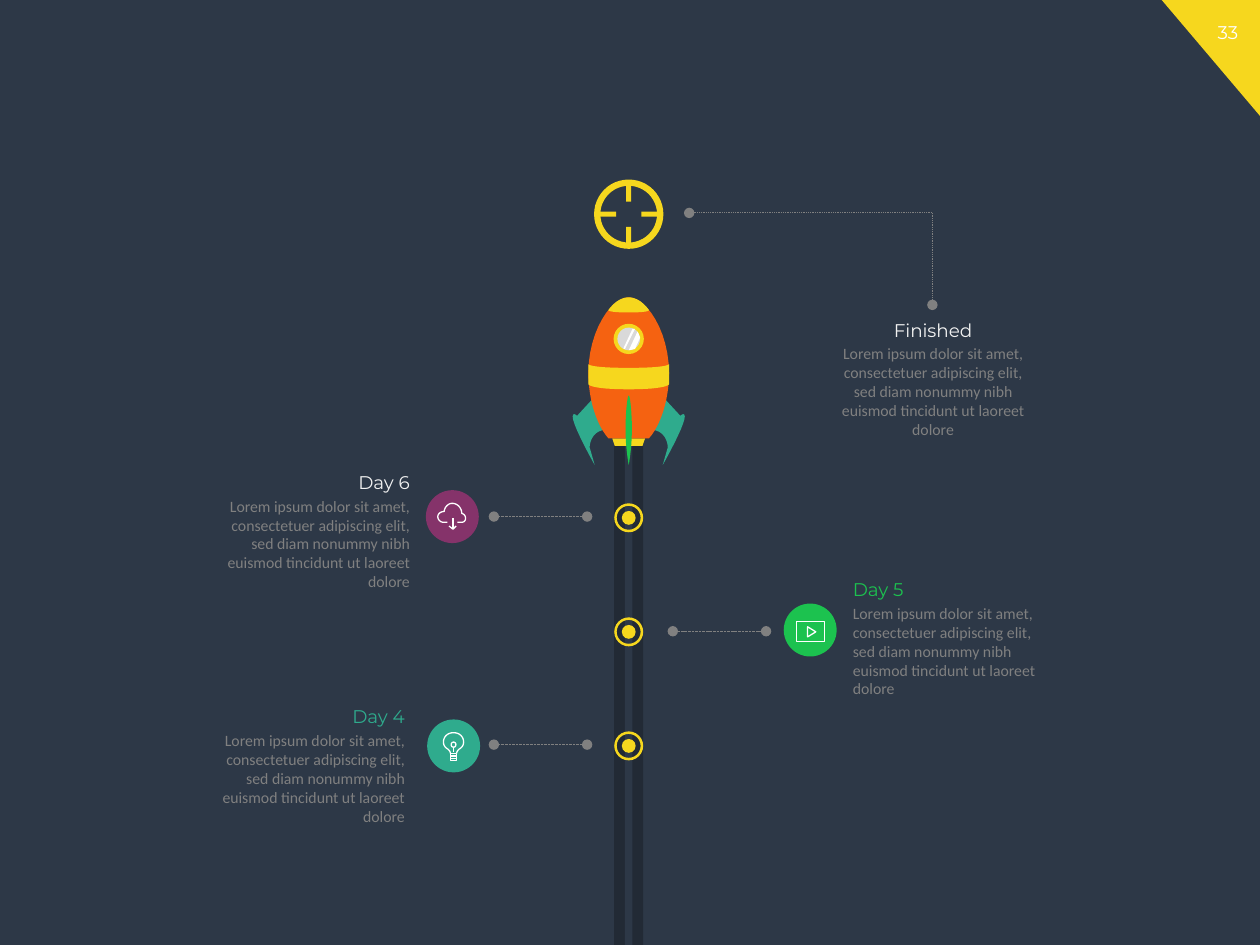
from lxml.etree import SubElement
from pptx import Presentation
from pptx.dml.color import RGBColor
from pptx.enum.dml import MSO_LINE
from pptx.enum.shapes import MSO_CONNECTOR, MSO_SHAPE
from pptx.enum.text import PP_ALIGN
from pptx.oxml.ns import qn
from pptx.util import Inches, Pt

COLORS = {
    "night": "2D3847", "rail": "222A35", "yellow": "F6D71E", "orange": "F56211",
    "teal": "2FAB8D", "green": "1CC24F", "purple": "85336A", "gray": "808080",
    "glass": "D9D9D9", "pale": "F2F2F2", "white": "FFFFFF",
}
HEADING = {"name": "Montserrat", "size": Pt(10.5)}
BODY = {"name": "Calibri", "size": Pt(9)}
LOREM = ("Lorem ipsum dolor sit amet, consectetuer adipiscing elit, "
         "sed diam nonummy nibh euismod tincidunt ut laoreet dolore")
AXIS = 4.99  # horizontal centre of the rocket and its rail

# Contours in hundredths of an inch from a local origin;
# a pair is a straight step, six numbers are a Bezier step.
FIN = [(-29, 81), (-41, 94), (-41, 94, -43, 92, -44, 93),
       (-48, 96, -27, 133, -27, 133), (-31, 119), (-31, 119, -31, 106, -18, 105)]
ROCKET = [
    ("teal", FIN),
    ("teal", [tuple(-v if i % 2 == 0 else v for i, v in enumerate(step)) for step in FIN]),
    ("yellow", [(-13, 112), (13, 112), (11, 118), (-11, 118)]),
    ("orange", [(16, 112), (25, 102, 32, 82, 32, 60), (32, 27, 14, 0, 0, 0),
                (-14, 0, -32, 27, -32, 60), (-32, 82, -25, 102, -16, 112)]),
    ("yellow", [(16, 10), (11, 3, 5, 0, 0, 0), (-5, 0, -11, 3, -16, 10),
                (-16, 10, -18, 12, 0, 12), (18, 12, 16, 10, 16, 10)]),
    ("yellow", [(-32, 53), (-32, 69), (-32, 69, -31, 73, 0, 73), (31, 73, 32, 69, 32, 69),
                (32, 53), (32, 53, 32, 56, 0, 56), (-32, 56, -32, 53, -32, 53)]),
    ("green", [(2.5, 105), (2.5, 120, 0, 133, 0, 133), (0, 133, -2.5, 120, -2.5, 105),
               (-2.5, 90, -1, 78, 0, 78), (1, 78, 2.5, 90, 2.5, 105)]),
]
GLINTS = [[(5, 25), (3, 25), (-4, 40), (-4, 41), (-3, 41)],
          [(7, 27), (0, 42), (5, 41), (9, 32)]]
CLOUD = [
    [(-4, 4.5), (-7, 4.5), (-9.5, 4.5, -11.5, 2.5, -11.5, 0), (-11.5, -2, -9.5, -4, -6.5, -4),
     (-6, -7.5, -3.5, -10.5, 0, -10.5), (4, -10.5, 7.5, -7, 7.5, -2.5),
     (9.5, -2, 10.5, -0.5, 10.5, 1.5), (10.5, 3, 9.5, 4.5, 7.5, 4.5), (4, 4.5)],
    [(0.5, 1), (0.5, 10)],
    [(-2.5, 7.5), (0.5, 10), (3, 7.5)],
]
PLAY = [
    [(-11, -6.5), (11.5, -6.5), (11.5, 9), (-11, 9), (-11, -6.5)],
    [(-2, -2.5), (4.5, 1.5), (-2, 5.5), (-2, -2.5)],
]
BULB = [
    [(-2.5, 6), (-2.5, 4.5, -3.5, 3.5, -4.5, 2.5), (-6.5, 1.5, -8, -0.5, -8, -3),
     (-8, -7.5, -4.5, -10.5, 0, -10.5), (4.5, -10.5, 8, -7.5, 8, -3),
     (8, -0.5, 6.5, 1.5, 4.5, 2.5), (3.5, 3.5, 2.5, 4.5, 2.5, 6)],
    [(-2.5, 6), (-2.5, 11.5), (2.5, 11.5), (2.5, 6), (-2.5, 6)],
    [(-2.5, 8), (2.5, 8)],
    [(-2.5, 10), (2.5, 10)],
    [(0, 1), (0, 5)],
    [(0, -3), (2.5, -3, 2.5, 1, 0, 1), (-2.5, 1, -2.5, -3, 0, -3)],
]


def color(name):
    return RGBColor.from_string(COLORS[name])


def apply_format(target, values):
    for key, value in values.items():
        setattr(target, key, value)


def paint(shape, fill):
    shape.shadow.inherit = False
    shape.fill.solid()
    shape.fill.fore_color.rgb = color(fill)
    shape.line.fill.background()
    return shape


def add_block(page, kind, left, top, width, height, fill):
    shape = page.shapes.add_shape(
        kind, Inches(left), Inches(top), Inches(width), Inches(height))
    return paint(shape, fill)


def add_round(page, center, size, fill, thickness=None):
    """A disc, or a ring when a thickness is given."""
    kind = MSO_SHAPE.DONUT if thickness else MSO_SHAPE.OVAL
    x, y = center
    shape = add_block(page, kind, x - size / 2, y - size / 2, size, size, fill)
    if thickness:
        shape.adjustments[0] = thickness / size
    return shape


def flatten(contour, pieces=12):
    """Turn Bezier steps into short straight ones."""
    points = [contour[0]]
    for step in contour[1:]:
        if len(step) == 2:
            points.append(step)
            continue
        corners = [points[-1], step[:2], step[2:4], step[4:]]
        for i in range(1, pieces + 1):
            t = i / pieces
            weights = ((1 - t) ** 3, 3 * t * (1 - t) ** 2, 3 * t * t * (1 - t), t ** 3)
            points.append(tuple(
                sum(w * corner[axis] for w, corner in zip(weights, corners))
                for axis in (0, 1)))
    return points


def add_outline(page, origin, contours, close):
    def place(point):
        return tuple(Inches(o + v / 100) for o, v in zip(origin, point))

    paths = [[place(point) for point in flatten(contour)] for contour in contours]
    builder = page.shapes.build_freeform(*paths[0][0], scale=1.0)
    for number, points in enumerate(paths):
        if number:
            builder.move_to(*points[0])
        builder.add_line_segments(points[1:], close=close)
    return builder.convert_to_shape()


def add_icon(page, center, strokes):
    icon = add_outline(page, center, strokes, close=False)
    icon.shadow.inherit = False
    icon.fill.background()
    icon.line.color.rgb = color("white")
    icon.line.width = Pt(0.75)


def add_leader(page, start, end, dash, ends):
    leader = page.shapes.add_connector(
        MSO_CONNECTOR.STRAIGHT, *(Inches(v) for v in start + end))
    leader.line.color.rgb = color("gray")
    apply_format(leader.line, {"width": Pt(0.5), "dash_style": dash})
    properties = leader._element.spPr
    for tag in ends:
        SubElement(properties.find(qn("a:ln")), qn(tag)).set("type", "oval")
    SubElement(properties, qn("a:effectLst"))


def add_text(page, text, left, top, width, height, align, font, ink):
    box = page.shapes.add_textbox(
        Inches(left), Inches(top), Inches(width), Inches(height))
    box.text_frame.word_wrap = True
    para = box.text_frame.paragraphs[0]
    para.alignment = align
    span = para.add_run()
    span.text = text
    apply_format(span.font, font)
    span.font.color.rgb = color(ink)


def add_note(page, heading, left, top, align, ink):
    add_text(page, LOREM, left, top + 0.2, 1.81, 0.86, align, BODY, "gray")
    add_text(page, heading, left, top, 1.81, 0.28, align, HEADING, ink)


def add_rocket(page):
    for fill, contour in ROCKET:
        paint(add_outline(page, (AXIS, 2.36), [contour], close=True), fill)
    add_round(page, (AXIS, 2.69), 0.24, "yellow")
    add_round(page, (AXIS, 2.69), 0.18, "glass")
    for glint in GLINTS:
        paint(add_outline(page, (AXIS, 2.36), [glint], close=True), "white")


def add_target(page):
    y = 1.7
    add_round(page, (AXIS, y), 0.55, "yellow", 0.05)
    for sign in (-1, 1):
        middle = sign * 0.17
        add_block(page, MSO_SHAPE.RECTANGLE, AXIS - 0.02, y + middle - 0.07, 0.04, 0.14, "yellow")
        add_block(page, MSO_SHAPE.RECTANGLE, AXIS + middle - 0.07, y - 0.02, 0.14, 0.04, "yellow")


def main():
    deck = Presentation()
    apply_format(deck, {"slide_width": Inches(10), "slide_height": Inches(7.5)})
    page = deck.slides.add_slide(deck.slide_layouts[6])
    page.background.fill.solid()
    page.background.fill.fore_color.rgb = color("night")

    # Page corner
    corner = add_block(page, MSO_SHAPE.RIGHT_TRIANGLE, 9.22, 0, 0.78, 0.92, "yellow")
    corner.rotation = 180
    add_text(page, "33", 9.49, 0.12, 0.51, 0.28, PP_ALIGN.CENTER, HEADING, "white")

    # Rail with its stops, then the rocket and its target
    for width, fill in ((0.23, "rail"), (0.06, "night")):
        add_block(page, MSO_SHAPE.RECTANGLE, AXIS - width / 2, 3.27, width, 4.23, fill)
    for stop in range(3):
        center = (AXIS, 4.11 + 0.905 * stop)
        add_round(page, center, 0.11, "yellow")
        add_round(page, center, 0.23, "yellow", 0.02)
    add_rocket(page)
    add_target(page)

    # Leaders
    both = ("a:headEnd", "a:tailEnd")
    for start, end, y in ((4.66, 3.92, 4.1), (5.34, 6.08, 5.01), (4.66, 3.92, 5.91)):
        add_leader(page, (start, y), (end, y), MSO_LINE.SQUARE_DOT, both)
    add_leader(page, (5.47, 1.69), (7.4, 1.69), MSO_LINE.ROUND_DOT, both[:1])
    add_leader(page, (7.4, 1.69), (7.4, 2.42), MSO_LINE.ROUND_DOT, both[1:])

    # Badges
    for center, fill, strokes in (((3.59, 4.1), "purple", CLOUD),
                                  ((6.43, 5.0), "green", PLAY),
                                  ((3.6, 5.92), "teal", BULB)):
        add_round(page, center, 0.42, fill)
        add_icon(page, center, strokes)

    # Notes
    add_note(page, "Finished", 6.5, 2.48, PP_ALIGN.CENTER, "pale")
    add_note(page, "Day 6", 1.54, 3.69, PP_ALIGN.RIGHT, "pale")
    add_note(page, "Day 5", 6.67, 4.54, PP_ALIGN.LEFT, "green")
    add_note(page, "Day 4", 1.5, 5.55, PP_ALIGN.RIGHT, "teal")

    deck.save("out.pptx")


if __name__ == "__main__":
    main()
